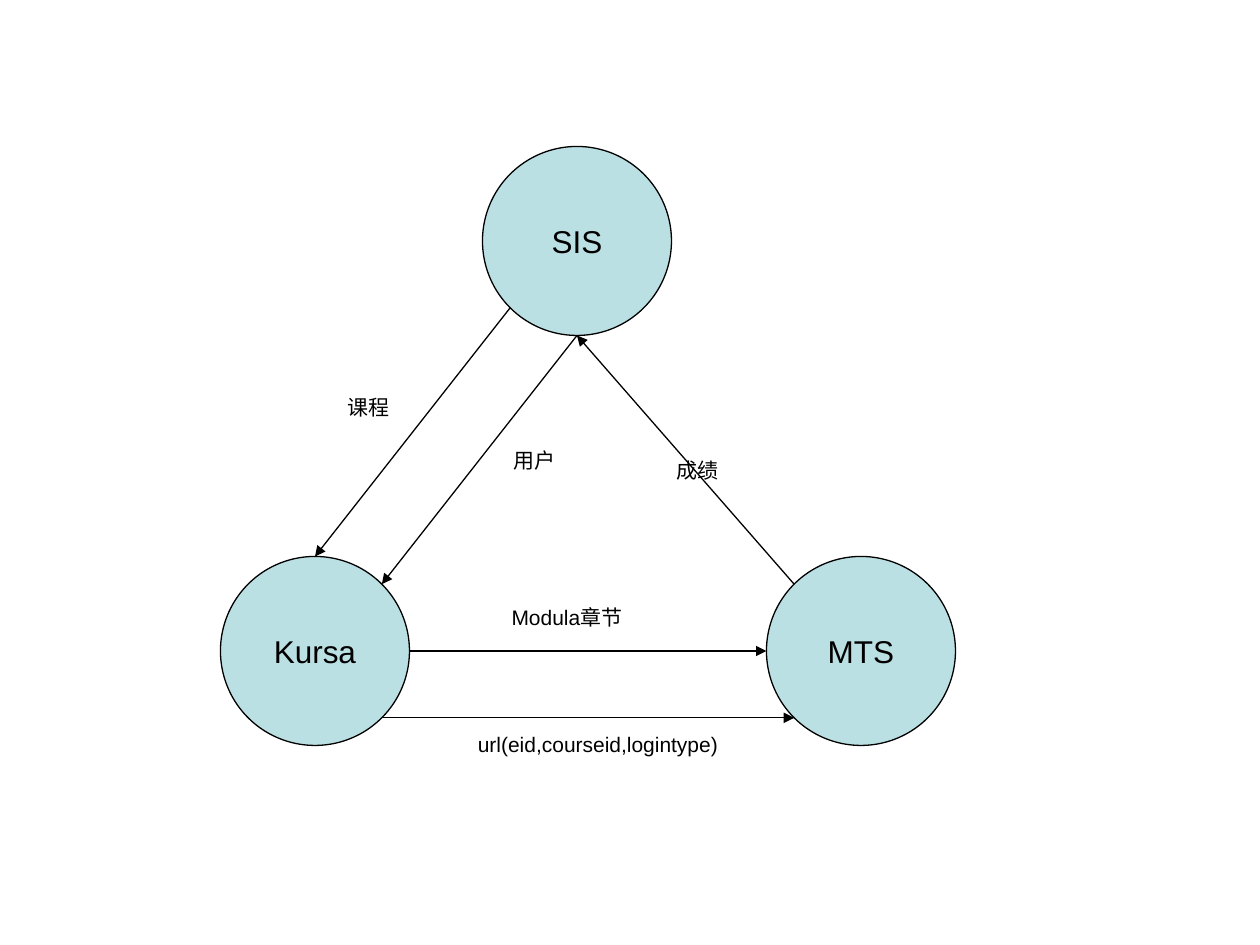
import math

import pptx
import pptx.dml.color
import pptx.enum.dml
import pptx.enum.shapes
import pptx.enum.text
import pptx.oxml
import pptx.oxml.ns
import pptx.util

PX_PER_INCH = 126
DIAMETER = 189
LABEL_HEIGHT = 38
BLACK = "000000"
PALE_TEAL = "BBE0E3"

systems = {
    "SIS": (577, 241),
    "Kursa": (315, 651),
    "MTS": (861, 651),
}

compass = {
    "E": 0, "SE": 45, "S": 90, "SW": 135,
    "W": 180, "NW": 225, "N": 270, "NE": 315,
}

flows = [
    ("SIS", "SW", "Kursa", "N", "课程", (325, 388, 88)),
    ("SIS", "S", "Kursa", "NE", "用户", (482, 441, 105)),
    ("Kursa", "E", "MTS", "W", "Modula章节", (441, 598, 252)),
    ("Kursa", "SE", "MTS", "SW", "url(eid,courseid,logintype)", (451, 725, 294)),
    ("MTS", "NW", "SIS", "S", "成绩", (661, 451, 73)),
]


def px(length):
    return pptx.util.Emu(round(length * 914400 / PX_PER_INCH))


def color(value):
    return pptx.dml.color.RGBColor.from_string(value)


def style_line(line):
    line.color.rgb = color(BLACK)
    line.width = pptx.util.Pt(0.75)


def write(frame, text, size):
    frame.text = text
    paragraph = frame.paragraphs[0]
    paragraph.alignment = pptx.enum.text.PP_ALIGN.CENTER
    paragraph.font.name = "Arial"
    paragraph.font.size = pptx.util.Pt(size)
    paragraph.font.color.rgb = color(BLACK)


def rim_point(system, side):
    x, y = systems[system]
    angle = math.radians(compass[side])
    radius = DIAMETER / 2
    return px(x + radius * math.cos(angle)), px(y + radius * math.sin(angle))


def add_system(slide, name, center):
    x, y = (c - DIAMETER / 2 for c in center)
    circle = slide.shapes.add_shape(
        pptx.enum.shapes.MSO_SHAPE.FLOWCHART_CONNECTOR,
        px(x), px(y), px(DIAMETER), px(DIAMETER))
    circle.shadow.inherit = False
    circle.fill.solid()
    circle.fill.fore_color.rgb = color(PALE_TEAL)
    style_line(circle.line)
    circle.text_frame.word_wrap = False
    circle.text_frame.vertical_anchor = pptx.enum.text.MSO_ANCHOR.MIDDLE
    write(circle.text_frame, name, 18)


def add_arrow(slide, start, end):
    arrow = slide.shapes.add_connector(
        pptx.enum.shapes.MSO_CONNECTOR.STRAIGHT, *start, *end)
    style_line(arrow.line)
    head = pptx.oxml.parse_xml(
        f'<a:tailEnd {pptx.oxml.ns.nsdecls("a")} type="triangle"/>')
    arrow.line._get_or_add_ln().append(head)
    effects = pptx.oxml.parse_xml(f'<a:effectLst {pptx.oxml.ns.nsdecls("a")}/>')
    arrow._element.spPr.append(effects)


def add_label(slide, text, place):
    left, top, width = place
    label = slide.shapes.add_textbox(
        px(left), px(top), px(width), px(LABEL_HEIGHT))
    label.text_frame.word_wrap = True
    label.text_frame.auto_size = pptx.enum.text.MSO_AUTO_SIZE.SHAPE_TO_FIT_TEXT
    write(label.text_frame, text, 12)


def main():
    deck = pptx.Presentation()
    deck.slide_width = px(1260)
    deck.slide_height = px(945)
    slide = deck.slides.add_slide(deck.slide_layouts[6])
    for name, center in systems.items():
        add_system(slide, name, center)
    for source, exit_side, target, entry_side, text, place in flows:
        add_arrow(slide, rim_point(source, exit_side), rim_point(target, entry_side))
        add_label(slide, text, place)
    deck.save("out.pptx")


if __name__ == "__main__":
    main()
